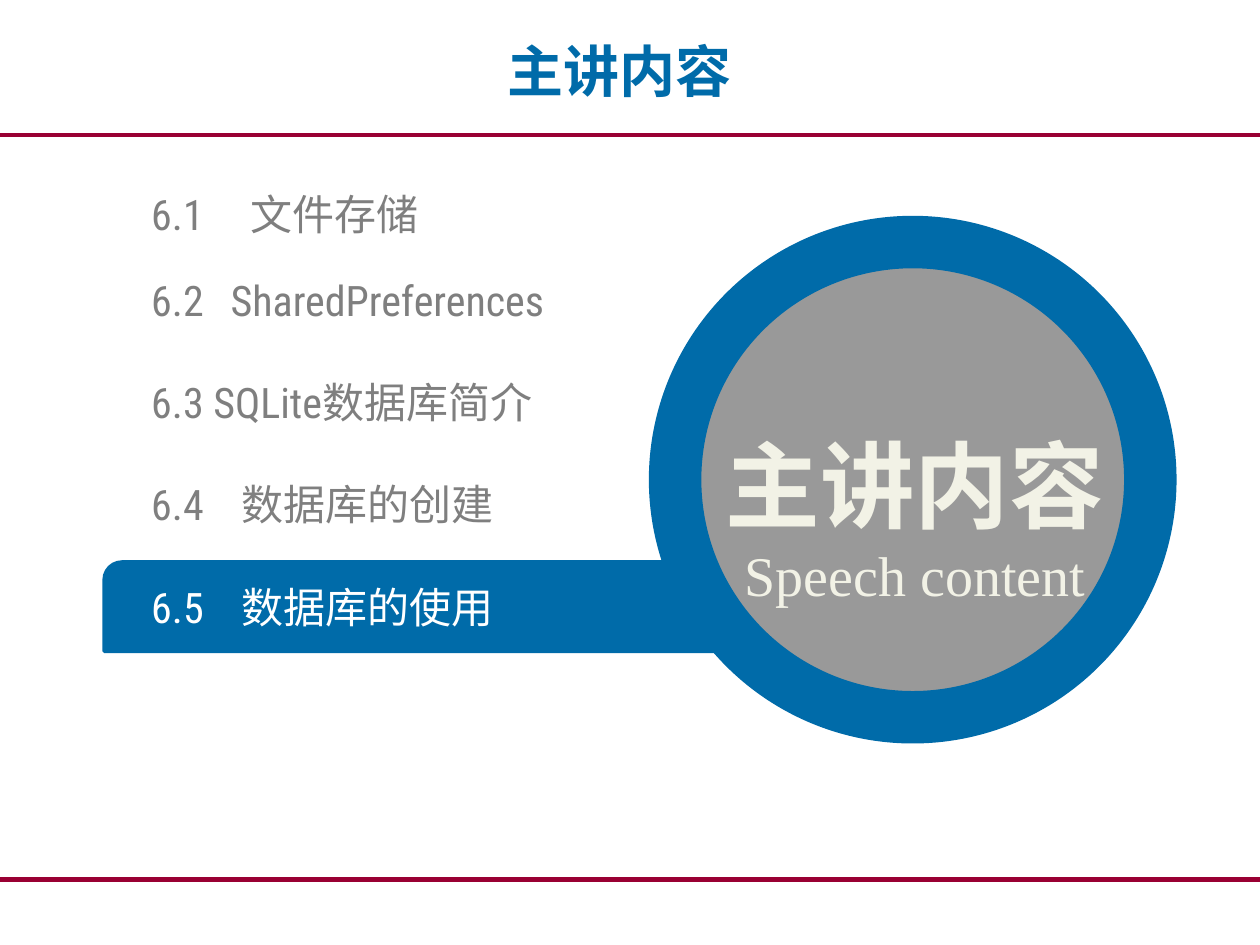
from lxml.etree import SubElement
from pptx import Presentation
from pptx.dml.color import RGBColor
from pptx.enum.shapes import MSO_CONNECTOR, MSO_SHAPE
from pptx.enum.text import MSO_ANCHOR, PP_ALIGN
from pptx.oxml.ns import qn
from pptx.util import Cm, Pt

BLUE = RGBColor(0x00, 0x6B, 0xA9)
WINE = RGBColor(0x99, 0x00, 0x33)
GRAY = RGBColor(0x7F, 0x7F, 0x7F)
DISC = RGBColor(0x99, 0x99, 0x99)
CREAM = RGBColor(0xF2, 0xF2, 0xE6)
WHITE = RGBColor(0xFF, 0xFF, 0xFF)

HAN = "Noto Sans CJK SC"
SANS = "Roboto Condensed"
SERIF = "Times New Roman"

# Number, topic, and tab stop in cm (None: a plain space)
ITEMS = [
    ("6.1", "文件存储", 2.0),
    ("6.2", "SharedPreferences", 1.6),
    ("6.3", "SQLite数据库简介", None),
    ("6.4", "数据库的创建", 1.82),
    ("6.5", "数据库的使用", 1.82),
]


def add_box(slide, x, y, w, h, pad=None):
    box = slide.shapes.add_textbox(Cm(x), Cm(y), Cm(w), Cm(h))
    frame = box.text_frame
    frame.word_wrap = True
    frame.vertical_anchor = MSO_ANCHOR.MIDDLE
    if pad is not None:
        frame.margin_left = frame.margin_right = Cm(pad)
        frame.margin_top = frame.margin_bottom = Cm(pad)
    return frame


def set_font(para, name, size, color, bold=False):
    font = para.font
    font.name, font.size, font.bold = name, Pt(size), bold
    font.color.rgb = color
    props = para._p.pPr.find(qn("a:defRPr"))
    SubElement(props, qn("a:ea")).set("typeface", HAN)


def add_tab(para, pos):
    tabs = SubElement(para._p.get_or_add_pPr(), qn("a:tabLst"))
    tab = SubElement(tabs, qn("a:tab"))
    tab.set("pos", str(Cm(pos)))
    tab.set("algn", "l")


def add_shape(slide, kind, x, y, w, h, fill, width):
    shape = slide.shapes.add_shape(kind, Cm(x), Cm(y), Cm(w), Cm(h))
    shape.shadow.inherit = False
    shape.fill.solid()
    shape.fill.fore_color.rgb = fill
    shape.line.color.rgb = BLUE
    shape.line.width = Pt(width)
    return shape


def draw_rule(slide, x, y, w, width):
    line = slide.shapes.add_connector(
        MSO_CONNECTOR.STRAIGHT, Cm(x), Cm(y), Cm(x + w), Cm(y))
    line.line.color.rgb = WINE
    line.line.width = Pt(width)
    SubElement(line._element.spPr, qn("a:effectLst"))


def draw_title(slide, x, y, w, h):
    para = add_box(slide, x, y, w, h).paragraphs[0]
    para.text = "主讲内容"
    para.alignment = PP_ALIGN.CENTER
    set_font(para, HAN, 32, BLUE, True)


def draw_list(slide, x, y, w, h):
    pitch, row = 2.06, 1.02
    last = len(ITEMS) - 1
    # Bar behind the current topic
    bar = add_shape(slide, MSO_SHAPE.ROUND_2_DIAG_RECTANGLE,
                    x, y + h - 1.8, w, 1.8, BLUE, 2)
    bar.adjustments[0] = 0.2
    # Rows step up from the bar; the first sits a little closer
    for i, (num, topic, stop) in enumerate(ITEMS):
        top = y + h - 1.42 - (last - i) * pitch
        if i == 0:
            top += 0.33
        para = add_box(slide, x + 0.95, top, 10.64, row, 0).paragraphs[0]
        if stop:
            add_tab(para, stop)
        para.text = num + ("\t" if stop else " ") + topic
        set_font(para, SANS, 24, WHITE if i == last else GRAY)


def draw_disc(slide, x, y, size):
    add_shape(slide, MSO_SHAPE.OVAL, x, y, size, size, DISC, 30)
    frame = add_box(slide, x - 0.12, y + 2.46, size + 0.33, 5.05)
    head = frame.paragraphs[0]
    head.text = "主讲内容"
    head.line_spacing = 1.5
    sub = frame.add_paragraph()
    sub.text = "Speech content"
    head.alignment = sub.alignment = PP_ALIGN.CENTER
    set_font(head, HAN, 54, CREAM, True)
    set_font(sub, SERIF, 32, CREAM)


def main():
    prs = Presentation()
    prs.slide_width, prs.slide_height = Cm(25.4), Cm(19.05)
    slide = prs.slides.add_slide(prs.slide_layouts[6])
    # Rules across the page
    draw_rule(slide, 0, 17.73, 25.4, 3)
    draw_rule(slide, 0, 2.72, 25.4, 2)
    # Title, topics and disc
    draw_title(slide, 1.07, 0.15, 22.86, 2.51)
    draw_list(slide, 2.1, 3.78, 13.6, 9.35)
    draw_disc(slide, 13.61, 4.88, 9.58)
    prs.save("out.pptx")


if __name__ == "__main__":
    main()
